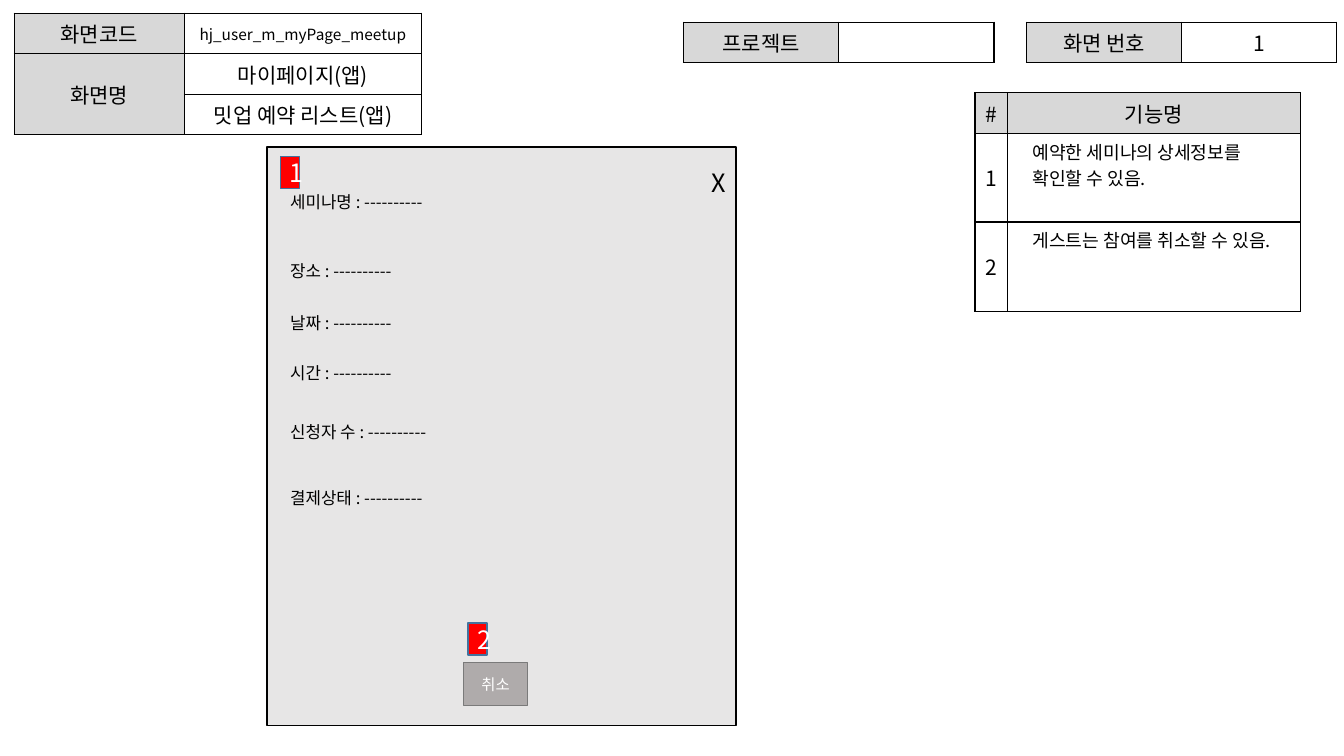
from dataclasses import dataclass

from lxml import etree
from pptx import Presentation
from pptx.dml.color import RGBColor
from pptx.enum.shapes import MSO_SHAPE
from pptx.enum.text import MSO_ANCHOR, MSO_AUTO_SIZE, PP_ALIGN
from pptx.oxml.ns import qn
from pptx.shapes.autoshape import Shape
from pptx.shapes.shapetree import GroupShapes, SlideShapes
from pptx.table import _Cell
from pptx.text.text import TextFrame
from pptx.util import Inches, Pt

RECTANGLE = MSO_SHAPE.RECTANGLE
TOP, MIDDLE = MSO_ANCHOR.TOP, MSO_ANCHOR.MIDDLE
LEFT, CENTER = PP_ALIGN.LEFT, PP_ALIGN.CENTER
GROW = MSO_AUTO_SIZE.SHAPE_TO_FIT_TEXT

FONT = "Noto Sans CJK KR"
BLACK, WHITE, HEADER_GREY = "000000", "FFFFFF", "D8D8D8"


@dataclass
class CellText:
    text: str
    size: float = 15
    fill: str = WHITE
    description: bool = False
    rows_spanned: int = 1


@dataclass
class Grid:
    left: float
    top: float
    columns: list[float]
    heights: list[float]
    rows: list[list[CellText | None]]


@dataclass
class Block:
    left: float
    top: float
    width: float
    height: float
    fill: str
    line: str
    text: str = ""
    size: float = 18


@dataclass
class Label:
    text: str
    left: float
    top: float
    width: float
    height: float
    size: float


def header(text: str, rows_spanned: int = 1) -> CellText:
    return CellText(text, fill=HEADER_GREY, rows_spanned=rows_spanned)


def description(text: str) -> CellText:
    return CellText(text, size=13, description=True)


GRIDS = [
    Grid(0.14, 0.13, [1.69, 2.35], [0.4] * 3, [
        [header("화면코드"), CellText("hj_user_m_myPage_meetup", size=11)],
        [header("화면명", rows_spanned=2), CellText("마이페이지(앱)")],
        [None, CellText("밋업 예약 리스트(앱)")],
    ]),
    Grid(10.18, 0.22, [1.54, 1.54], [0.4], [[header("화면 번호"), CellText("1")]]),
    Grid(6.78, 0.22, [1.54, 1.54], [0.4], [[header("프로젝트"), CellText("")]]),
    Grid(9.67, 0.92, [0.32, 2.91], [0.4, 0.88, 0.89], [
        [header("#"), header("기능명")],
        [CellText("1"), description("예약한 세미나의 상세정보를 확인할 수 있음.")],
        [CellText("2"), description("게스트는 참여를 취소할 수 있음.")],
    ]),
]

PANEL = Block(2.65, 1.46, 4.65, 5.74, "E7E6E6", BLACK)
FIELD_TOPS = {
    "세미나명": 1.85,
    "장소": 2.54,
    "날짜": 3.05,
    "시간": 3.55,
    "신청자 수": 4.13,
    "결제상태": 4.79,
}
LABELS = [
    Label(f"{field} : ----------", 2.78, top, 2.2, 0.39, 12)
    for field, top in FIELD_TOPS.items()
] + [Label("X", 6.96, 1.61, 0.25, 0.52, 18)]
BUTTONS = [Block(4.6, 6.57, 0.63, 0.43, "AFABAB", "7A7A7A", "취소", 11)] + [
    Block(left, top, 0.19, 0.32, "FF0000", "43739E", number)
    for number, left, top in [("1", 2.78, 1.55), ("2", 4.64, 6.18)]
]


def color(code: str) -> RGBColor:
    return RGBColor.from_string(code)


def write(frame: TextFrame, text: str, *, size: float, ink: str = BLACK,
          align: PP_ALIGN = LEFT, indent: float = 0) -> None:
    frame.word_wrap = True
    para = frame.paragraphs[0]
    para.alignment = align
    if indent:
        properties = para._p.get_or_add_pPr()
        properties.set("marL", str(Inches(indent)))
        properties.set("indent", "0")
    span = para.add_run()
    span.text = text
    span.font.size = Pt(size)
    span.font.name = FONT
    span.font.color.rgb = color(ink)
    east_asian = etree.Element(qn("a:ea"), typeface=FONT)
    span.font._element.find(qn("a:latin")).addnext(east_asian)


def add_borders(cell: _Cell) -> None:
    properties = cell._tc.get_or_add_tcPr()
    for side in ("lnL", "lnR", "lnT", "lnB"):
        border = etree.SubElement(properties, qn(f"a:{side}"), w=str(Pt(1)))
        fill = etree.SubElement(border, qn("a:solidFill"))
        etree.SubElement(fill, qn("a:srgbClr"), val=BLACK)


def add_grid(shapes: SlideShapes, grid: Grid) -> None:
    frame = shapes.add_table(
        len(grid.heights), len(grid.columns), Inches(grid.left), Inches(grid.top),
        Inches(sum(grid.columns)), Inches(sum(grid.heights)))
    table = frame.table
    table.first_row = table.horz_banding = False
    for column, width in zip(table.columns, grid.columns):
        column.width = Inches(width)
    for row, height in zip(table.rows, grid.heights):
        row.height = Inches(height)
    for row_index, row_texts in enumerate(grid.rows):
        for column_index, content in enumerate(row_texts):
            cell = table.cell(row_index, column_index)
            add_borders(cell)
            if content is None:
                continue
            cell.fill.solid()
            cell.fill.fore_color.rgb = color(content.fill)
            cell.vertical_anchor = TOP if content.description else MIDDLE
            write(cell.text_frame, content.text, size=content.size,
                  align=LEFT if content.description else CENTER,
                  indent=0.15 if content.description else 0)
            if content.rows_spanned > 1:
                last_row = row_index + content.rows_spanned - 1
                cell.merge(table.cell(last_row, column_index))


def add_block(shapes: GroupShapes, block: Block) -> Shape:
    shape = shapes.add_shape(RECTANGLE, Inches(block.left), Inches(block.top),
                             Inches(block.width), Inches(block.height))
    shape.shadow.inherit = False
    shape.fill.solid()
    shape.fill.fore_color.rgb = color(block.fill)
    shape.line.color.rgb = color(block.line)
    shape.line.width = Pt(1)
    if block.text:
        shape.text_frame.vertical_anchor = MIDDLE
        write(shape.text_frame, block.text, size=block.size, ink=WHITE, align=CENTER)
    return shape


def add_label(shapes: GroupShapes, label: Label) -> Shape:
    box = shapes.add_textbox(Inches(label.left), Inches(label.top),
                             Inches(label.width), Inches(label.height))
    write(box.text_frame, label.text, size=label.size)
    box.text_frame.auto_size = GROW
    return box


def main() -> None:
    deck = Presentation()
    deck.slide_width, deck.slide_height = Inches(13.33), Inches(7.5)
    page = deck.slides.add_slide(deck.slide_layouts[6])
    for grid in GRIDS:
        add_grid(page.shapes, grid)
    popup = page.shapes.add_group_shape().shapes
    add_block(popup, PANEL)
    for label in LABELS:
        add_label(popup, label)
    for button in BUTTONS:
        add_block(popup, button)
    deck.save("out.pptx")


if __name__ == "__main__":
    main()
